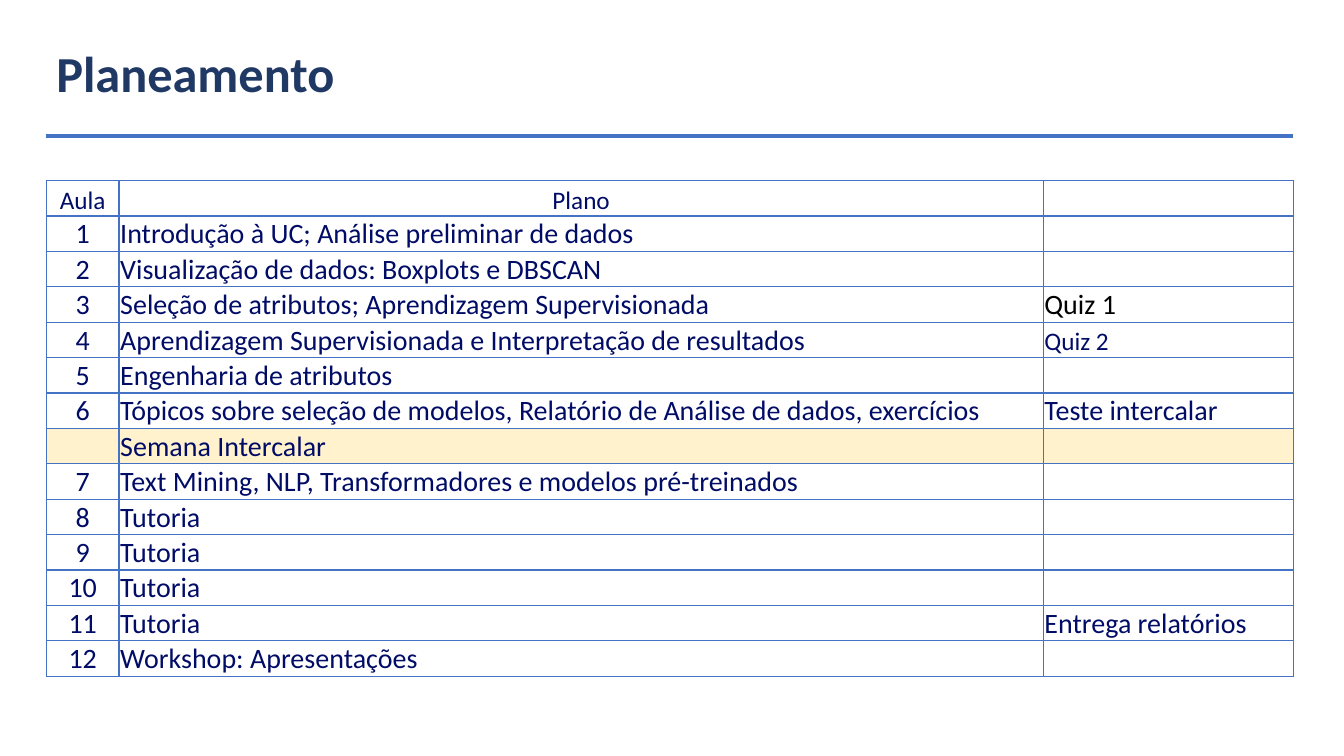
import pptx
import pptx.util
import pptx.dml.color
import pptx.enum.shapes
import pptx.enum.text
import pptx.oxml.ns
from dataclasses import dataclass
from lxml import etree

Cm, Pt = pptx.util.Cm, pptx.util.Pt
Align = pptx.enum.text.PP_ALIGN
Anchor = pptx.enum.text.MSO_ANCHOR
qn = pptx.oxml.ns.qn


@dataclass(frozen=True)
class Theme:
    font: str = "Calibri"
    title: str = "203864"
    text: str = "000C66"
    black: str = "000000"
    line: str = "4472C4"
    band: str = "FFF2CC"
    big: int = 36
    body: int = 20
    small: int = 18
    rule: float = 2.5
    edge: int = 1


THEME = Theme()
COLS = (1.83, 23.29, 6.3)
BREAK = "Semana Intercalar"
HEAD = ("Aula", "Plano", "")
PLANS = (
    "Introdução à UC; Análise preliminar de dados",
    "Visualização de dados: Boxplots e DBSCAN",
    "Seleção de atributos; Aprendizagem Supervisionada",
    "Aprendizagem Supervisionada e Interpretação de resultados",
    "Engenharia de atributos",
    "Tópicos sobre seleção de modelos, Relatório de Análise de dados, exercícios",
    BREAK,
    "Text Mining, NLP, Transformadores e modelos pré-treinados",
    *["Tutoria"] * 4,
    "Workshop: Apresentações",
)
TASKS = {3: "Quiz 1", 4: "Quiz 2", 6: "Teste intercalar", 11: "Entrega relatórios"}
SPECIAL = {"Quiz 1": {"color": THEME.black}, "Quiz 2": {"size": THEME.small}}


def put(item, values):
    """Set every attribute named in values on item."""
    for name, value in values.items():
        setattr(item, name, value)


def paint(fill, color):
    fill.solid()
    fill.fore_color.rgb = pptx.dml.color.RGBColor.from_string(color)


def write(para, text, size, color, bold=False):
    run = para.add_run()
    run.text = text
    put(run.font, {"name": THEME.font, "size": Pt(size), "bold": bold})
    paint(run.font.fill, color)


def frame(cell):
    """Draw the four borders of a cell."""
    props = cell._tc.get_or_add_tcPr()
    for side in ("lnL", "lnR", "lnT", "lnB"):
        line = etree.SubElement(props, qn(f"a:{side}"), w=str(Pt(THEME.edge)))
        fill = etree.SubElement(line, qn("a:solidFill"))
        etree.SubElement(fill, qn("a:srgbClr"), val=THEME.line)


def header(slide, text, left, top, width, height):
    """Place the title and, just below its box, the rule."""
    box = slide.shapes.add_textbox(Cm(left), Cm(top), Cm(width), Cm(height))
    put(box.text_frame, {"word_wrap": True, "vertical_anchor": Anchor.MIDDLE})
    para = box.text_frame.paragraphs[0]
    para.line_spacing = 0.9
    write(para, text, THEME.big, THEME.title, True)
    y = Cm(top + height + 0.18)
    rule = slide.shapes.add_connector(
        pptx.enum.shapes.MSO_CONNECTOR.STRAIGHT, Cm(left), y, Cm(left + width), y)
    paint(rule.line.fill, THEME.line)
    rule.line.width = Pt(THEME.rule)
    etree.SubElement(rule._element.spPr, qn("a:effectLst"))


def lessons():
    """Return the table rows, numbering all weeks but the break."""
    rows, num = [HEAD], 0
    for plan in PLANS:
        if plan == BREAK:
            rows.append(("", plan, ""))
        else:
            num += 1
            rows.append((str(num), plan, TASKS.get(num, "")))
    return rows


def schedule(slide, rows, left, top, width, height):
    table = slide.shapes.add_table(
        len(rows), len(COLS), Cm(left), Cm(top), Cm(width), Cm(height)).table
    put(table, {"first_row": False, "horz_banding": False})
    for col, size in zip(table.columns, COLS):
        col.width = Cm(size)
    for r, row in enumerate(rows):
        table.rows[r].height = Cm(height / len(rows))
        for c, text in enumerate(row):
            cell = table.cell(r, c)
            put(cell, {"margin_left": Cm(0.03), "margin_right": Cm(0.03),
                       "margin_top": Cm(0.03), "margin_bottom": 0,
                       "vertical_anchor": Anchor.BOTTOM})
            frame(cell)
            if BREAK in row:
                paint(cell.fill, THEME.band)
            else:
                cell.fill.background()
            if text:
                para = cell.text_frame.paragraphs[0]
                para.alignment = Align.CENTER if r == 0 or c == 0 else Align.LEFT
                look = {"size": THEME.body if r else THEME.small, "color": THEME.text}
                write(para, text, **(look | SPECIAL.get(text, {})))


def main():
    deck = pptx.Presentation()
    put(deck, {"slide_width": Cm(33.87), "slide_height": Cm(19.05)})
    slide = deck.slides.add_slide(deck.slide_layouts[6])
    left, width = 1.17, sum(COLS)
    header(slide, "Planeamento", left, 0.58, width, 2.67)
    schedule(slide, lessons(), left, 4.55, width, 12.5)
    deck.save("out.pptx")


if __name__ == "__main__":
    main()
